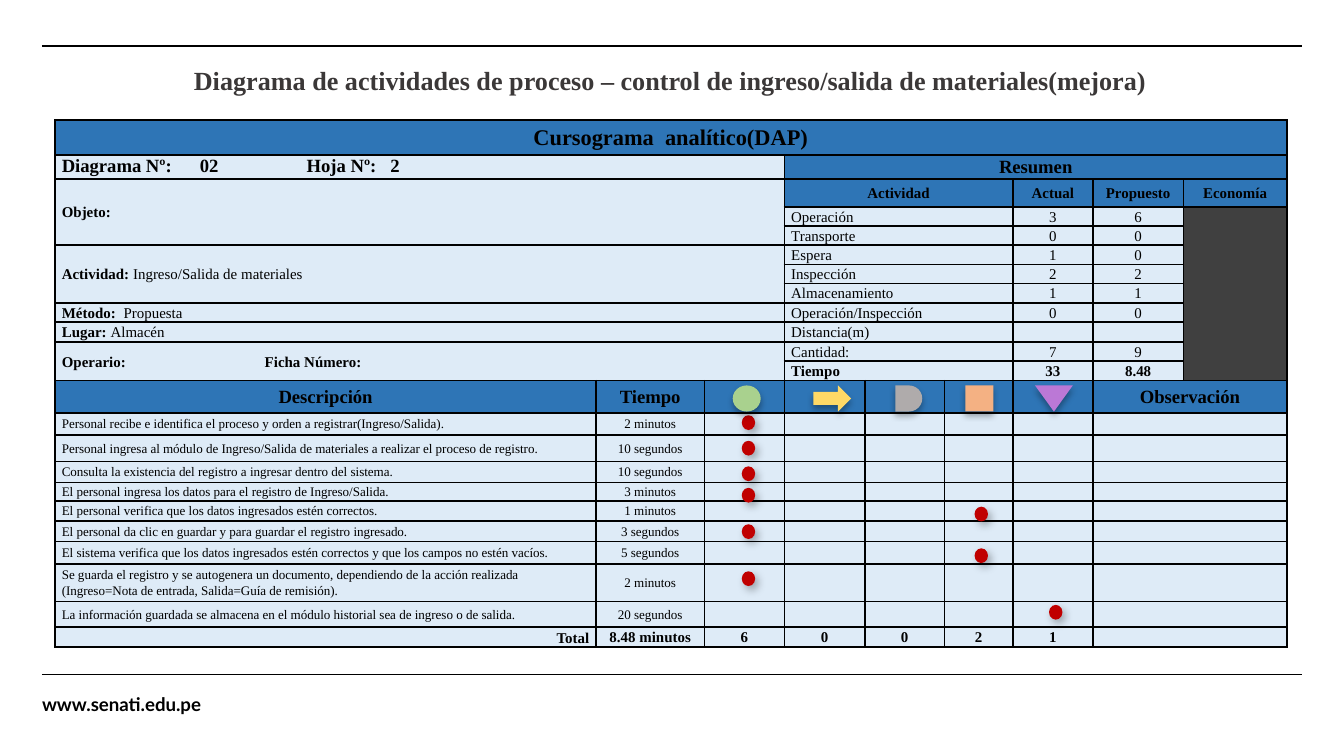
import pptx
import pptx.util
import pptx.dml.color
import pptx.enum.shapes
import pptx.enum.text
import pptx.oxml.ns
from lxml import etree

Pt = pptx.util.Pt
RGBColor = pptx.dml.color.RGBColor
Shape = pptx.enum.shapes.MSO_SHAPE
Align = pptx.enum.text.PP_ALIGN
Anchor = pptx.enum.text.MSO_ANCHOR
qn = pptx.oxml.ns.qn

BLACK = RGBColor(0x00, 0x00, 0x00)
TITLE_GRAY = RGBColor(0x3B, 0x38, 0x38)
HEADER_BLUE = RGBColor(0x2E, 0x75, 0xB6)
PALE_BLUE = RGBColor(0xDE, 0xEB, 0xF7)
DARK_GRAY = RGBColor(0x40, 0x40, 0x40)
DOT_RED = RGBColor(0xC0, 0x00, 0x00)
GREEN = RGBColor(0xA9, 0xD1, 0x8E)
YELLOW = RGBColor(0xFF, 0xD9, 0x66)
GRAY = RGBColor(0xAF, 0xAB, 0xAB)
ORANGE = RGBColor(0xF4, 0xB1, 0x83)
PURPLE = RGBColor(0xBB, 0x78, 0xD6)

SERIF = "Times New Roman"
TITLE = "Diagrama de actividades de proceso – control de ingreso/salida de materiales(mejora)"
WEBSITE = "www.senati.edu.pe"

TABLE_LEFT, TABLE_TOP = 29.5, 64.2
COLUMN_WIDTHS = [289.8, 58.1, 42.9, 43.1, 42.6, 36.7, 42.9, 48.5, 55.4]
ROW_HEIGHTS = [18.75, 12.85, 15, 10.2, 10.2, 10.4, 10.2, 10.2, 10.4, 10.7, 10.2, 10.4,
               17.4, 11.8, 14.2, 11.25, 9.9, 10.7, 11, 12.05, 20.1, 13.65, 10.7]

# row, rows spanned, (text, bold) runs, tab stops, size
DETAILS = [
    (1, 1, [("Diagrama Nº:\t02\tHoja Nº:\t2", True)], [74, 131.2, 176], 10),
    (2, 3, [("Objeto:", True)], [], 8),
    (5, 3, [("Actividad: ", True), ("Ingreso/Salida de materiales", False)], [], 8),
    (8, 1, [("Método:  ", True), ("Propuesta", False)], [], 8),
    (9, 1, [("Lugar: ", True), ("Almacén", False)], [], 8),
    (10, 2, [("Operario:\tFicha Número:", True)], [108.7], 8),
]
SUMMARY_HEADER = ("Actividad", "Actual", "Propuesto")
SUMMARY = [
    ("Operación", "3", "6"),
    ("Transporte", "0", "0"),
    ("Espera", "1", "0"),
    ("Inspección", "2", "2"),
    ("Almacenamiento", "1", "1"),
    ("Operación/Inspección", "0", "0"),
    ("Distancia(m)", "", ""),
    ("Cantidad:", "7", "9"),
    ("Tiempo", "33", "8.48"),
]
STEP_HEADER = [(0, "Descripción"), (1, "Tiempo"), (7, "Observación")]
# description, time, symbol number, dot centre height
STEPS = [
    ("Personal recibe e identifica el proceso y orden a registrar(Ingreso/Salida).", "2 minutos", 0, 226.4),
    ("Personal ingresa al módulo de Ingreso/Salida de materiales a realizar el proceso de registro.",
     "10 segundos", 0, 240.1),
    ("Consulta la existencia del registro a ingresar dentro del sistema.", "10 segundos", 0, 253.8),
    ("El personal ingresa los datos para el registro de Ingreso/Salida.", "3 minutos", 0, 265.3),
    ("El personal verifica que los datos ingresados estén correctos.", "1 minutos", 3, 275.4),
    ("El personal da clic en guardar y para guardar el registro ingresado.", "3 segundos", 0, 284.8),
    ("El sistema verifica que los datos ingresados estén correctos y que los campos no estén vacíos.",
     "5 segundos", 3, 297.7),
    ("Se guarda el registro y se autogenera un documento, dependiendo de la acción realizada "
     "(Ingreso=Nota de entrada, Salida=Guía de remisión).", "2 minutos", 0, 310),
    ("La información guardada se almacena en el módulo historial sea de ingreso o de salida.",
     "20 segundos", 4, 328),
]
TOTALS = ["8.48 minutos", "6", "0", "0", "2", "1"]
# shape, colour, centre, width, rotation
SYMBOLS = [
    (Shape.OVAL, GREEN, 400, 15, 0),
    (Shape.RIGHT_ARROW, YELLOW, 445.8, 20.2, 0),
    (Shape.FLOWCHART_DELAY, GRAY, 486.9, 14.4, 0),
    (Shape.RECTANGLE, ORANGE, 524.7, 15, 0),
    (Shape.ISOSCELES_TRIANGLE, PURPLE, 564.6, 20.2, 180),
]
SYMBOL_MIDDLE, SYMBOL_HEIGHT = 213.5, 14
DOT_WIDTH, DOT_HEIGHT, DOT_SHIFT = 7.2, 7.9, 1


def write(para, runs, size, color=BLACK, font=SERIF):
    for text, bold in runs:
        span = para.add_run()
        span.text = text
        span.font.name, span.font.size = font, Pt(size)
        span.font.bold, span.font.color.rgb = bold, color


def add_text(left, top, width, height, text, size, color, font):
    box = page.shapes.add_textbox(Pt(left), Pt(top), Pt(width), Pt(height))
    write(box.text_frame.paragraphs[0], [(text, True)], size, color, font)
    return box.text_frame


def add_rule(y):
    rule = page.shapes.add_connector(pptx.enum.shapes.MSO_CONNECTOR.STRAIGHT, Pt(22.5), Pt(y), Pt(697.5), Pt(y))
    rule.line.color.rgb, rule.line.width = BLACK, Pt(1)
    etree.SubElement(rule._element.spPr, qn("a:effectLst"))


def add_mark(kind, color, center, middle, width, height, shadow):
    mark = page.shapes.add_shape(kind, Pt(center - width / 2), Pt(middle - height / 2), Pt(width), Pt(height))
    mark.fill.solid()
    mark.fill.fore_color.rgb = color
    mark.line.fill.background()
    mark.shadow.inherit = False
    alpha, blur, distance, angle = shadow
    effects = mark._element.spPr.find(qn("a:effectLst"))
    outer = etree.SubElement(effects, qn("a:outerShdw"), blurRad=str(Pt(blur)), dist=str(Pt(distance)),
                             dir=str(angle * 60000), algn="ctr", rotWithShape="0")
    tint = etree.SubElement(outer, qn("a:srgbClr"), val="000000")
    etree.SubElement(tint, qn("a:alpha"), val=str(alpha * 1000))
    return mark


def style_cell(cell, fill):
    cell.margin_left = cell.margin_right = Pt(3.6)
    cell.margin_top = cell.margin_bottom = 0
    cell.vertical_anchor = Anchor.MIDDLE
    cell.fill.solid()
    cell.fill.fore_color.rgb = fill
    properties = cell._tc.get_or_add_tcPr()
    for index, side in enumerate(("lnL", "lnR", "lnT", "lnB")):
        border = etree.Element(qn("a:" + side), w=str(Pt(1)))
        paint = etree.SubElement(border, qn("a:solidFill"))
        etree.SubElement(paint, qn("a:srgbClr"), val=str(BLACK))
        properties.insert(index, border)
    etree.SubElement(cell.text_frame.paragraphs[0]._p, qn("a:endParaRPr"), sz="700")


def fill_cell(row, column, runs, size=8, align=Align.CENTER, tabs=()):
    para = grid.cell(row, column).text_frame.paragraphs[0]
    para.alignment, para.line_spacing = align, 1.07
    if tabs:
        stops = etree.SubElement(para._p.get_or_add_pPr(), qn("a:tabLst"))
        for stop in tabs:
            etree.SubElement(stops, qn("a:tab"), pos=str(Pt(stop)), algn="l")
    write(para, runs, size)


def merge(row, column, rows, columns):
    grid.cell(row, column).merge(grid.cell(row + rows - 1, column + columns - 1))


def cell_fill(row, column):
    if 3 <= row <= 11 and column == 8:
        return DARK_GRAY
    header = row in (0, 12) or (row in (1, 2) and column >= 3)
    return HEADER_BLUE if header else PALE_BLUE


deck = pptx.Presentation()
deck.slide_width, deck.slide_height = Pt(720), Pt(405)
page = deck.slides.add_slide(deck.slide_layouts[6])

add_rule(24.5)
add_rule(361.4)
footer = add_text(22.5, 373.7, 92.2, 9.4, WEBSITE, 10, BLACK, "Lato")
footer.margin_left = footer.margin_right = footer.margin_top = footer.margin_bottom = 0
footer.paragraphs[0].line_spacing = 0.8
title = add_text(56.9, 31, 604.8, 24.5, TITLE, 14, TITLE_GRAY, SERIF)
title.word_wrap = True
title.paragraphs[0].alignment = Align.CENTER

frame = page.shapes.add_table(len(ROW_HEIGHTS), len(COLUMN_WIDTHS), Pt(TABLE_LEFT), Pt(TABLE_TOP),
                              Pt(sum(COLUMN_WIDTHS)), Pt(sum(ROW_HEIGHTS)))
grid = frame.table
grid.first_row = grid.horz_banding = False
for column, width in zip(grid.columns, COLUMN_WIDTHS):
    column.width = Pt(width)
for row, height in zip(grid.rows, ROW_HEIGHTS):
    row.height = Pt(height)
for row in range(len(ROW_HEIGHTS)):
    for column in range(len(COLUMN_WIDTHS)):
        style_cell(grid.cell(row, column), cell_fill(row, column))

merge(0, 0, 1, 9)
fill_cell(0, 0, [("Cursograma  analítico(DAP)", True)], 12)
for row, rows, runs, tabs, size in DETAILS:
    merge(row, 0, rows, 3)
    fill_cell(row, 0, runs, size, Align.LEFT, tabs)
grid.cell(1, 0).vertical_anchor = Anchor.TOP

merge(1, 3, 1, 6)
fill_cell(1, 3, [("Resumen", True)], 10)
fill_cell(2, 8, [("Economía", True)])
merge(3, 8, 9, 1)
for row, values in enumerate([SUMMARY_HEADER] + SUMMARY, 2):
    merge(row, 3, 1, 3)
    for column, value in zip((3, 6, 7), values):
        if value:
            align = Align.LEFT if column == 3 and row > 2 else Align.CENTER
            fill_cell(row, column, [(value, row in (2, 11))], 8, align)

for row in range(12, len(ROW_HEIGHTS)):
    merge(row, 7, 1, 2)
for column, heading in STEP_HEADER:
    fill_cell(12, column, [(heading, True)], 10)
for row, (description, time, symbol, middle) in enumerate(STEPS, 13):
    fill_cell(row, 0, [(description, False)], 7, Align.LEFT)
    fill_cell(row, 1, [(time, False)], 7)
    add_mark(Shape.OVAL, DOT_RED, SYMBOLS[symbol][2] + DOT_SHIFT, middle, DOT_WIDTH, DOT_HEIGHT,
             (30, 4.5, 2.6, 53))
fill_cell(22, 0, [("Total", True)], 8, Align.RIGHT)
grid.cell(22, 0).vertical_anchor = Anchor.BOTTOM
for column, total in enumerate(TOTALS, 1):
    fill_cell(22, column, [(total, True)])

for kind, color, center, width, rotation in SYMBOLS:
    mark = add_mark(kind, color, center, SYMBOL_MIDDLE, width, SYMBOL_HEIGHT, (32, 3.5, 2.2, 90))
    mark.rotation = rotation

deck.save("out.pptx")
